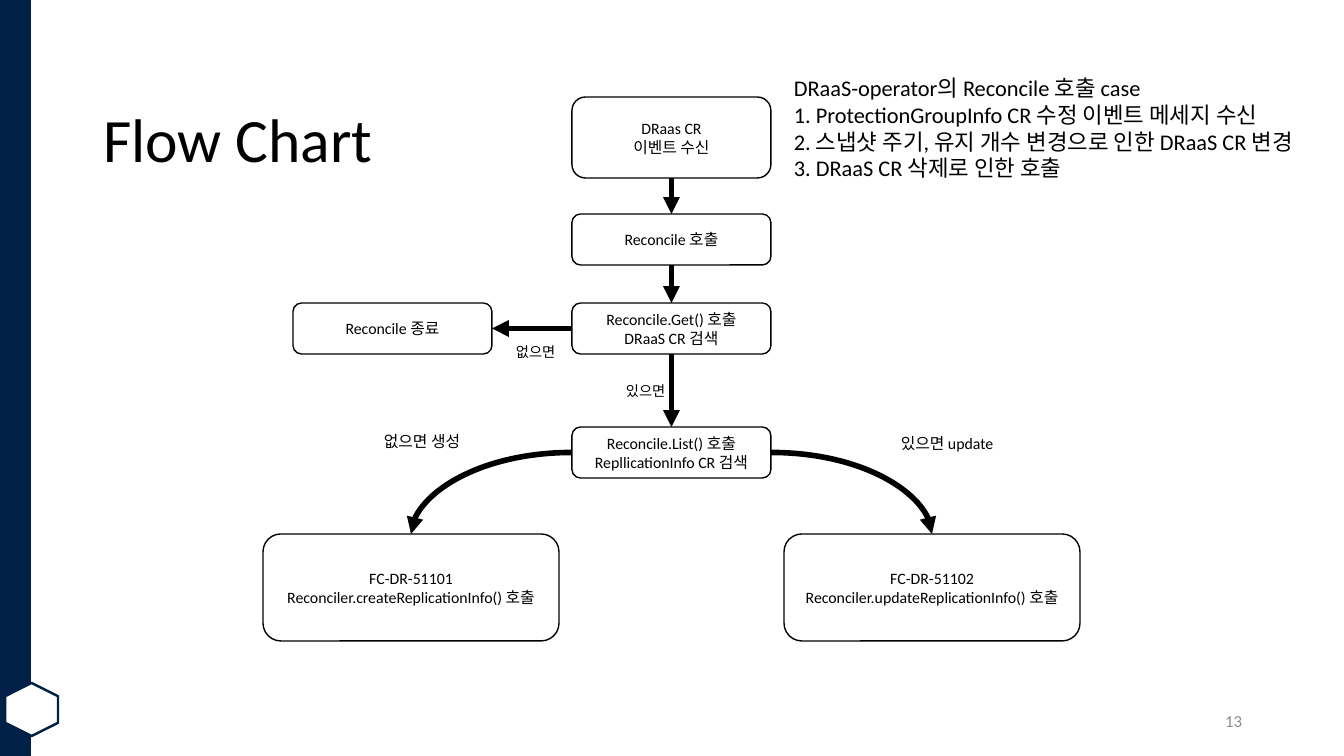
import pptx
import pptx.util
import pptx.dml.color
import pptx.enum.shapes
import pptx.enum.text
import pptx.oxml
import pptx.oxml.ns

RGBColor = pptx.dml.color.RGBColor
SHAPE = pptx.enum.shapes.MSO_SHAPE
CONNECTOR = pptx.enum.shapes.MSO_CONNECTOR
ALIGN = pptx.enum.text.PP_ALIGN
ANCHOR = pptx.enum.text.MSO_ANCHOR
AUTO_SIZE = pptx.enum.text.MSO_AUTO_SIZE

NAVY = RGBColor(0x00, 0x20, 0x48)
WHITE = RGBColor(0xFF, 0xFF, 0xFF)
BLACK = RGBColor(0x00, 0x00, 0x00)
GRAY = RGBColor(0x8C, 0x8C, 0x8C)

TOP, LEFT, BOTTOM, RIGHT = range(4)


def px(n):
    return pptx.util.Emu(round(n * 914400 / 100.8))


class SlideBuilder:
    font = "Calibri"
    body_size = 11.3

    def __init__(self, slide):
        self.slide = slide

    def fill_text(self, tf, text, size, color=BLACK, align=ALIGN.LEFT, anchor=ANCHOR.TOP):
        tf.text = text
        tf.vertical_anchor = anchor
        for p in tf.paragraphs:
            p.alignment = align
            for r in p.runs:
                r.font.size = pptx.util.Pt(size)
                r.font.name = self.font
                r.font.color.rgb = color

    def title(self, text, x, y, w, h):
        sp = self.slide.shapes.title
        sp.left, sp.top, sp.width, sp.height = map(px, (x, y, w, h))
        self.fill_text(sp.text_frame, text, 44, anchor=ANCHOR.MIDDLE)
        sp.text_frame.auto_size = AUTO_SIZE.NONE
        sp.text_frame.paragraphs[0].line_spacing = 0.9

    def shape(self, kind, x, y, w, h, fill=WHITE, line=None, width=1):
        sp = self.slide.shapes.add_shape(kind, *map(px, (x, y, w, h)))
        sp.shadow.inherit = False
        sp.fill.solid()
        sp.fill.fore_color.rgb = fill
        if line is None:
            sp.line.fill.background()
        else:
            sp.line.color.rgb = line
            sp.line.width = pptx.util.Pt(width)
        return sp

    def box(self, text, x, y, w=199, h=51):
        sp = self.shape(SHAPE.ROUNDED_RECTANGLE, x, y, w, h, line=BLACK)
        self.fill_text(sp.text_frame, text, self.body_size,
                       align=ALIGN.CENTER, anchor=ANCHOR.MIDDLE)
        return sp

    def text(self, text, x, y, w, h, size=body_size, wrap=False, **style):
        sp = self.slide.shapes.add_textbox(*map(px, (x, y, w, h)))
        self.fill_text(sp.text_frame, text, size, **style)
        sp.text_frame.word_wrap = wrap

    def site(self, sp, side):
        dx, dy = {TOP: (1, 0), LEFT: (0, 1), BOTTOM: (1, 2), RIGHT: (2, 1)}[side]
        return sp.left + sp.width * dx // 2, sp.top + sp.height * dy // 2

    def arrow(self, source, source_side, target, target_side, kind=CONNECTOR.STRAIGHT):
        cxn = self.slide.shapes.add_connector(
            kind, *self.site(source, source_side), *self.site(target, target_side))
        cxn.begin_connect(source, source_side)
        cxn.end_connect(target, target_side)
        cxn.line.color.rgb = BLACK
        cxn.line.width = pptx.util.Pt(4)
        sp_pr = cxn._element.spPr
        if kind == CONNECTOR.CURVE:
            sp_pr.find(pptx.oxml.ns.qn("a:prstGeom")).set("prst", "curvedConnector2")
        ns = pptx.oxml.ns.nsdecls("a")
        sp_pr.find(pptx.oxml.ns.qn("a:ln")).append(
            pptx.oxml.parse_xml(f'<a:tailEnd {ns} type="triangle"/>'))
        sp_pr.append(pptx.oxml.parse_xml(f"<a:effectLst {ns}/>"))


prs = pptx.Presentation()
prs.slide_width, prs.slide_height = px(1344), px(756)
s = SlideBuilder(prs.slides.add_slide(prs.slide_layouts[5]))

s.shape(SHAPE.RECTANGLE, 0, 0, 31, 756, fill=NAVY)
hexagon = s.shape(SHAPE.HEXAGON, 5, 683, 53, 53, line=NAVY, width=1.75)
hexagon.rotation = 90
s.title("Flow Chart", 93, 78, 1159, 130)
s.text("13", 950, 701, 302, 40, size=12, wrap=True, color=GRAY,
       align=ALIGN.RIGHT, anchor=ANCHOR.MIDDLE)

event = s.box("DRaas CR\n이벤트 수신", 572, 97, h=81)
call = s.box("Reconcile 호출", 572, 214)
get = s.box("Reconcile.Get() 호출\nDRaaS CR 검색", 572, 303)
listing = s.box("Reconcile.List() 호출\nRepllicationInfo CR 검색", 572, 427)
finish = s.box("Reconcile 종료", 293, 303)
create = s.box("FC-DR-51101\nReconciler.createReplicationInfo() 호출", 263, 534, 296, 107)
update = s.box("FC-DR-51102\nReconciler.updateReplicationInfo() 호출", 784, 534, 296, 107)

steps = [event, call, get, listing]
for source, target in zip(steps, steps[1:]):
    s.arrow(source, BOTTOM, target, TOP)
s.arrow(get, LEFT, finish, RIGHT)
s.arrow(listing, LEFT, create, TOP, CONNECTOR.CURVE)
s.arrow(listing, RIGHT, update, TOP, CONNECTOR.CURVE)

s.text("없으면 생성", 374, 427, 104, 29)
s.text("있으면 update", 891, 429, 117, 29)
s.text("있으면", 616, 377, 64, 27, size=10.2)
s.text("없으면", 506, 338, 64, 27, size=10.2)
s.text("DRaaS-operator의 Reconcile 호출 case\n"
       "1. ProtectionGroupInfo CR 수정 이벤트 메세지 수신\n"
       "2. 스냅샷 주기, 유지 개수 변경으로 인한 DRaaS CR 변경\n"
       "3. DRaaS CR 삭제로 인한 호출", 784, 69, 556, 119, size=16)

prs.save("out.pptx")
